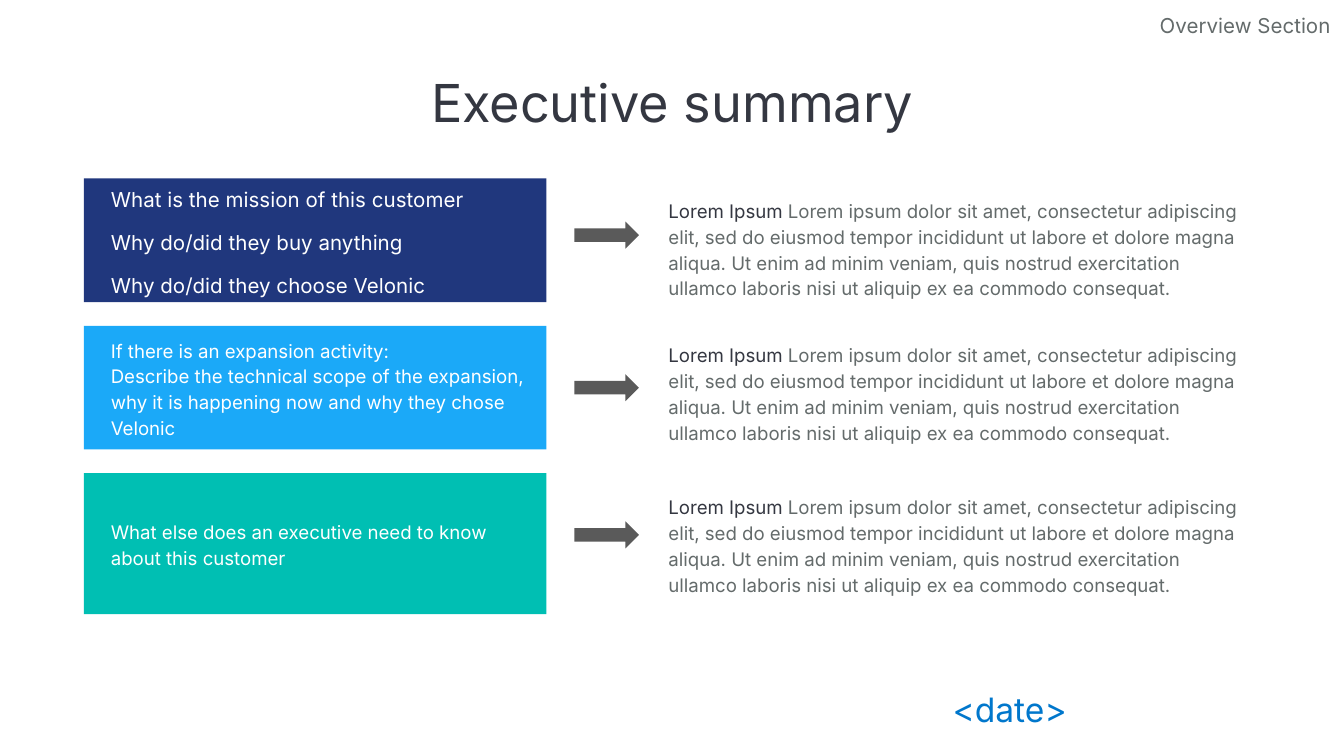
from dataclasses import dataclass

from pptx import Presentation
from pptx import util as u
from pptx.dml.color import RGBColor
from pptx.enum import shapes, text

# Lengths are columns and rows of a grid with square cells
CELL = u.Inches(0.1)
COLUMNS, ROWS = 100, 56.25

FONT = "Inter"
WHITE = RGBColor(0xFF, 0xFF, 0xFF)
INK = RGBColor(0x34, 0x37, 0x41)
GREY = RGBColor(0x64, 0x6B, 0x6B)
ARROW_GREY = RGBColor(0x5A, 0x5A, 0x5A)
NAVY = RGBColor(0x20, 0x37, 0x7D)
SKY = RGBColor(0x1B, 0xA9, 0xF8)
TEAL = RGBColor(0x00, 0xBF, 0xB3)
DATE_BLUE = RGBColor(0x00, 0x77, 0xCC)

LEAD = "Lorem Ipsum "
BODY = (
    "Lorem ipsum dolor sit amet, consectetur adipiscing elit, sed do eiusmod "
    "tempor incididunt ut labore et dolore magna aliqua. Ut enim ad minim veniam, "
    "quis nostrud exercitation ullamco laboris nisi ut aliquip ex ea commodo consequat."
)


@dataclass(frozen=True)
class Area:
    column: float
    row: float
    columns: float
    rows: float

    def box(self) -> list[int]:
        return [round(n * CELL) for n in (self.column, self.row, self.columns, self.rows)]


@dataclass(frozen=True)
class Topic:
    questions: list[str]
    size: float
    color: RGBColor
    rows: float
    arrow_row: float
    answer_row: float
    answer_rows: float


TOPICS = [
    Topic(
        ["What is the mission of this customer", "Why do/did they buy anything",
         "Why do/did they choose Velonic"],
        11, NAVY, 9.2, 16.5, 13.85, 9.2,
    ),
    Topic(
        ["If there is an expansion activity:\nDescribe the technical scope of the "
         "expansion, why it is happening now and why they chose Velonic"],
        10, SKY, 9.2, 27.85, 24.05, 10.3,
    ),
    Topic(
        ["What else does an executive need to know about this customer"],
        10, TEAL, 10.5, 38.8, 35.9, 9.2,
    ),
]
FIRST_ROW, ROW_STEP = 13.28, 10.96


def write(shape, paragraphs, *, size, color=INK, align=text.PP_ALIGN.LEFT,
          anchor=text.MSO_ANCHOR.TOP, inset=1.0, indent=0.0, line=1.0, gap=0) -> None:
    """Fill a shape; each paragraph is a string or a list of (string, color) runs."""
    frame = shape.text_frame
    frame.word_wrap = True
    frame.vertical_anchor = anchor
    frame.margin_left = round((inset + indent) * CELL)
    frame.margin_right = frame.margin_top = frame.margin_bottom = round(inset * CELL)
    for index, content in enumerate(paragraphs):
        paragraph = frame.add_paragraph() if index else frame.paragraphs[0]
        paragraph.alignment = align
        paragraph.line_spacing = line
        if index:
            paragraph.space_before = u.Pt(gap)
        runs = [(content, color)] if isinstance(content, str) else content
        for string, run_color in runs:
            for number, part in enumerate(string.split("\n")):
                if number:
                    paragraph.add_line_break()
                run = paragraph.add_run()
                run.text = part
                run.font.name = FONT
                run.font.size = u.Pt(size)
                run.font.color.rgb = run_color
    paragraph.space_after = u.Pt(gap)


def add_text(slide, area: Area, paragraphs, **style) -> None:
    write(slide.shapes.add_textbox(*area.box()), paragraphs, **style)


def add_block(slide, kind, area: Area, color: RGBColor):
    shape = slide.shapes.add_shape(kind, *area.box())
    shape.shadow.inherit = False
    shape.fill.solid()
    shape.fill.fore_color.rgb = color
    shape.line.fill.background()
    return shape


def add_topic(slide, topic: Topic, row: float) -> None:
    style = dict(anchor=text.MSO_ANCHOR.MIDDLE, indent=1, line=1.15, gap=8)
    kinds = shapes.MSO_SHAPE
    # Question block
    block = add_block(slide, kinds.RECTANGLE, Area(6.25, row, 34.4, topic.rows), topic.color)
    write(block, topic.questions, size=topic.size, color=WHITE, **style)
    # Arrow to the answer
    add_block(slide, kinds.RIGHT_ARROW, Area(42.74, topic.arrow_row, 4.8, 2), ARROW_GREY)
    # Answer
    add_text(slide, Area(47.74, topic.answer_row, 46, topic.answer_rows),
             [[(LEAD, INK), (BODY, GREY)]], size=10, **style)


def main() -> None:
    presentation = Presentation()
    presentation.slide_width = COLUMNS * CELL
    presentation.slide_height = round(ROWS * CELL)
    slide = presentation.slides.add_slide(presentation.slide_layouts[6])

    # Title
    add_text(slide, Area(10.45, 5.2, 79.1, 8.9), ["Executive summary"],
             size=28, align=text.PP_ALIGN.CENTER, inset=0)

    # Questions and answers
    for index, topic in enumerate(TOPICS):
        add_topic(slide, topic, FIRST_ROW + index * ROW_STEP)

    # Date and section label
    add_text(slide, Area(69.9, 50.3, 18, 4.4), ["<date>"], size=18, color=DATE_BLUE)
    add_text(slide, Area(83.5, 0.04, 16.5, 3.6), ["Overview Section"],
             size=11, color=GREY, align=text.PP_ALIGN.RIGHT)

    presentation.save("out.pptx")


if __name__ == "__main__":
    main()
